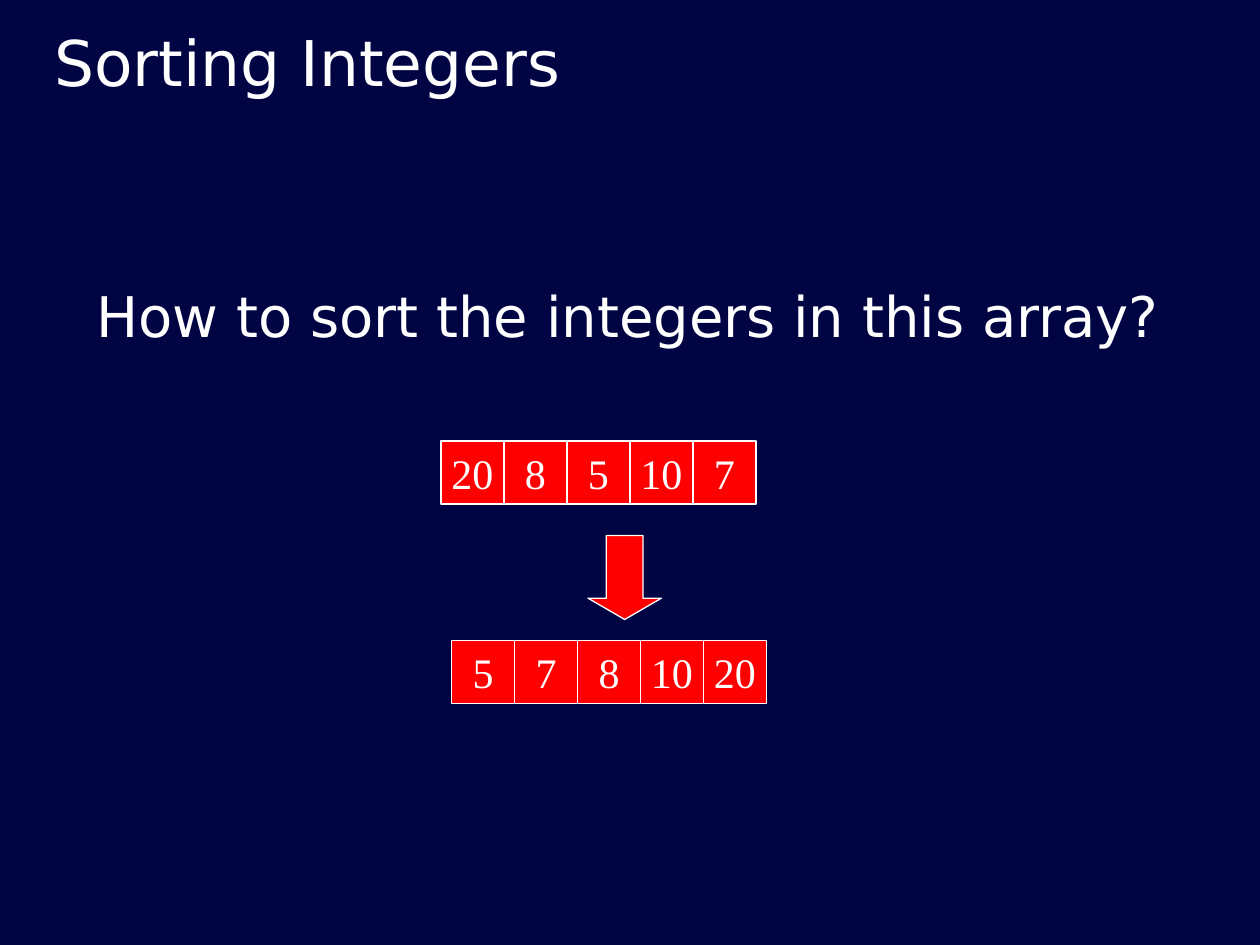
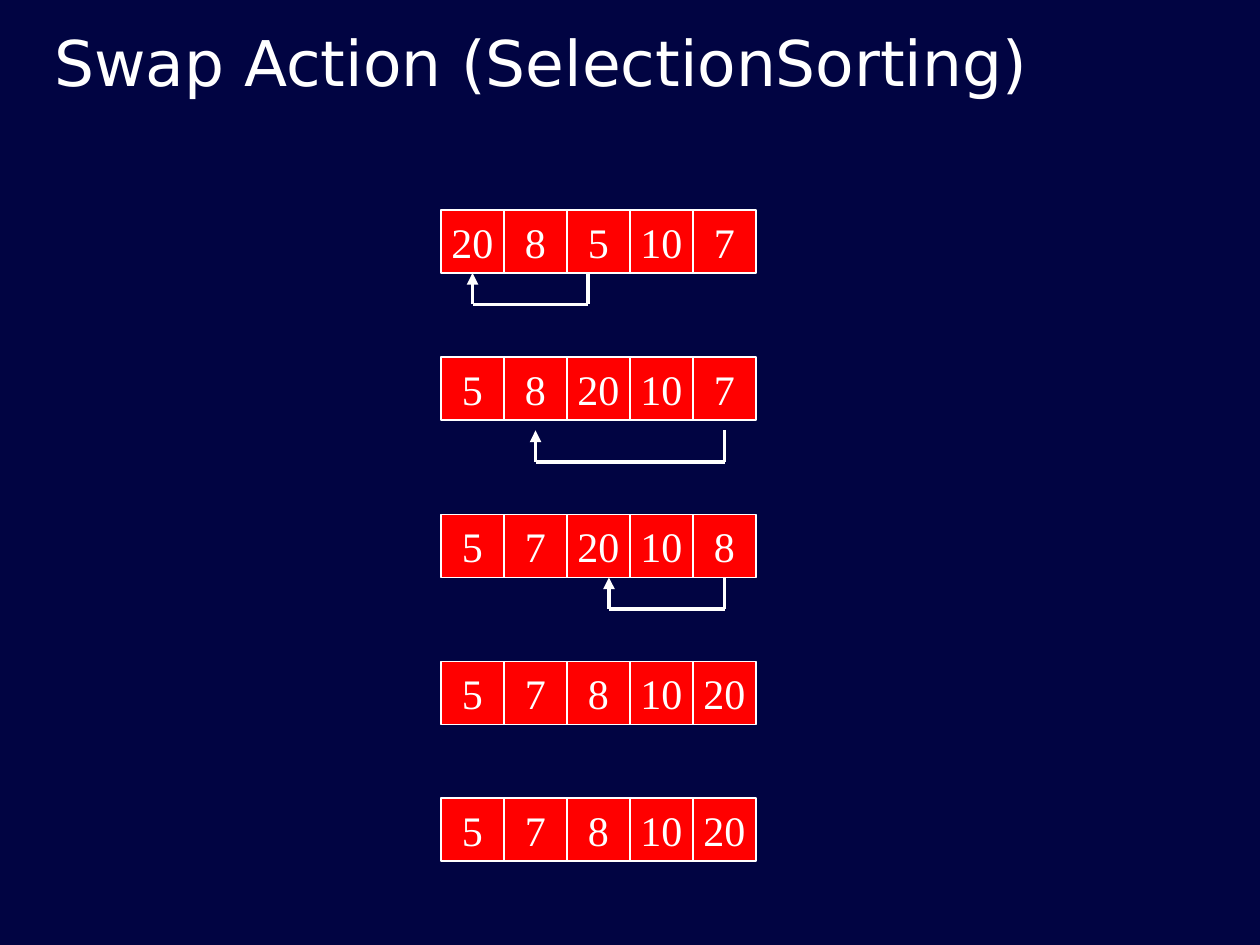
"""Build two slides that show how selection sort orders an array of integers."""
import pptx
import pptx.dml.color
import pptx.enum.shapes
import pptx.enum.text
import pptx.oxml
import pptx.oxml.ns
import pptx.util

NAVY = pptx.dml.color.RGBColor(0x01, 0x04, 0x42)
RED = pptx.dml.color.RGBColor(0xFF, 0x00, 0x00)
WHITE = pptx.dml.color.RGBColor(0xFF, 0xFF, 0xFF)
HEADING_FONT = "DejaVu Sans"
NUMBER_FONT = "Times New Roman"
COLUMNS, ROWS = 120, 90
CELL = 6
BRACKET_DEPTH = 3
ARRAY_LEFT = 42


class Deck:
    """Hold the shared style, the grid and the current slide."""

    def __init__(self):
        self.show = pptx.Presentation()
        self.show.slide_width = pptx.util.Inches(10)
        self.show.slide_height = pptx.util.Inches(7.5)
        self.slide = None

    def x(self, columns):
        return round(self.show.slide_width * columns / COLUMNS)

    def y(self, rows):
        return round(self.show.slide_height * rows / ROWS)

    def box(self, left, top, width, height):
        return self.x(left), self.y(top), self.x(width), self.y(height)

    def start(self, title):
        self.slide = self.show.slides.add_slide(self.show.slide_layouts[6])
        background = self.slide.background.fill
        background.solid()
        background.fore_color.rgb = NAVY
        self.text(title, (4, 1, 108.75, 9), 36, pptx.enum.text.MSO_ANCHOR.BOTTOM)

    def set_words(self, frame, words, font, size):
        frame.text = words
        style = frame.paragraphs[0].runs[0].font
        style.name = font
        style.size = pptx.util.Pt(size)
        style.color.rgb = WHITE

    def text(self, words, place, size, anchor=pptx.enum.text.MSO_ANCHOR.TOP):
        frame = self.slide.shapes.add_textbox(*self.box(*place)).text_frame
        frame.word_wrap = True
        frame.vertical_anchor = anchor
        self.set_words(frame, words, HEADING_FONT, size)

    def shape(self, parent, kind, place):
        block = parent.add_shape(kind, *self.box(*place))
        block.shadow.inherit = False
        block.fill.solid()
        block.fill.fore_color.rgb = RED
        block.line.color.rgb = WHITE
        block.line.width = pptx.util.Pt(0.75)
        return block

    def array(self, numbers, left, top):
        cells = self.slide.shapes.add_group_shape().shapes
        for index, number in enumerate(numbers):
            place = (left + index * CELL, top, CELL, CELL)
            cell = self.shape(cells, pptx.enum.shapes.MSO_SHAPE.RECTANGLE, place)
            frame = cell.text_frame
            frame.word_wrap = False
            frame.vertical_anchor = pptx.enum.text.MSO_ANCHOR.MIDDLE
            self.set_words(frame, str(number), NUMBER_FONT, 24)
            frame.paragraphs[0].alignment = pptx.enum.text.PP_ALIGN.CENTER

    def down_arrow(self, place):
        kind = pptx.enum.shapes.MSO_SHAPE.DOWN_ARROW
        arrow = self.shape(self.slide.shapes, kind, place)
        arrow.adjustments[0] = 0.5
        arrow.adjustments[1] = 0.29

    def line(self, parent, start, end, pointed=False):
        stroke = parent.add_connector(
            pptx.enum.shapes.MSO_CONNECTOR.STRAIGHT,
            self.x(start[0]), self.y(start[1]), self.x(end[0]), self.y(end[1]))
        stroke.line.color.rgb = WHITE
        stroke.line.width = pptx.util.Pt(2.25)
        properties = stroke._element.spPr
        namespace = pptx.oxml.ns.nsdecls("a")
        if pointed:
            head = pptx.oxml.parse_xml(f'<a:tailEnd {namespace} type="triangle"/>')
            properties.find(pptx.oxml.ns.qn("a:ln")).append(head)
        properties.append(pptx.oxml.parse_xml(f'<a:effectLst {namespace}/>'))

    def swap(self, source, target, top):
        bottom = top + BRACKET_DEPTH
        bracket = self.slide.shapes.add_group_shape().shapes
        self.line(bracket, (source, bottom), (source, top))
        self.line(bracket, (target, bottom), (target, top), pointed=True)
        self.line(bracket, (source, bottom), (target, bottom))


def main():
    deck = Deck()

    deck.start("Sorting Integers")
    deck.array([20, 8, 5, 10, 7], ARRAY_LEFT, 42)
    deck.array([5, 7, 8, 10, 20], ARRAY_LEFT + 1, 61)
    deck.down_arrow((56, 51, 7, 8))
    deck.text("How to sort the integers in this array?", (8, 26.25, 105, 7.7), 32)

    deck.start("Swap Action (SelectionSorting)")
    passes = [
        (20, [20, 8, 5, 10, 7]),
        (34, [5, 8, 20, 10, 7]),
        (49, [5, 7, 20, 10, 8]),
        (63, [5, 7, 8, 10, 20]),
        (76, [5, 7, 8, 10, 20]),
    ]
    for top, numbers in passes:
        deck.array(numbers, ARRAY_LEFT, top)
    for source, target, top in [(56, 45, 26), (69, 51, 41), (69, 58, 55)]:
        deck.swap(source, target, top)

    deck.show.save("out.pptx")


if __name__ == "__main__":
    main()
